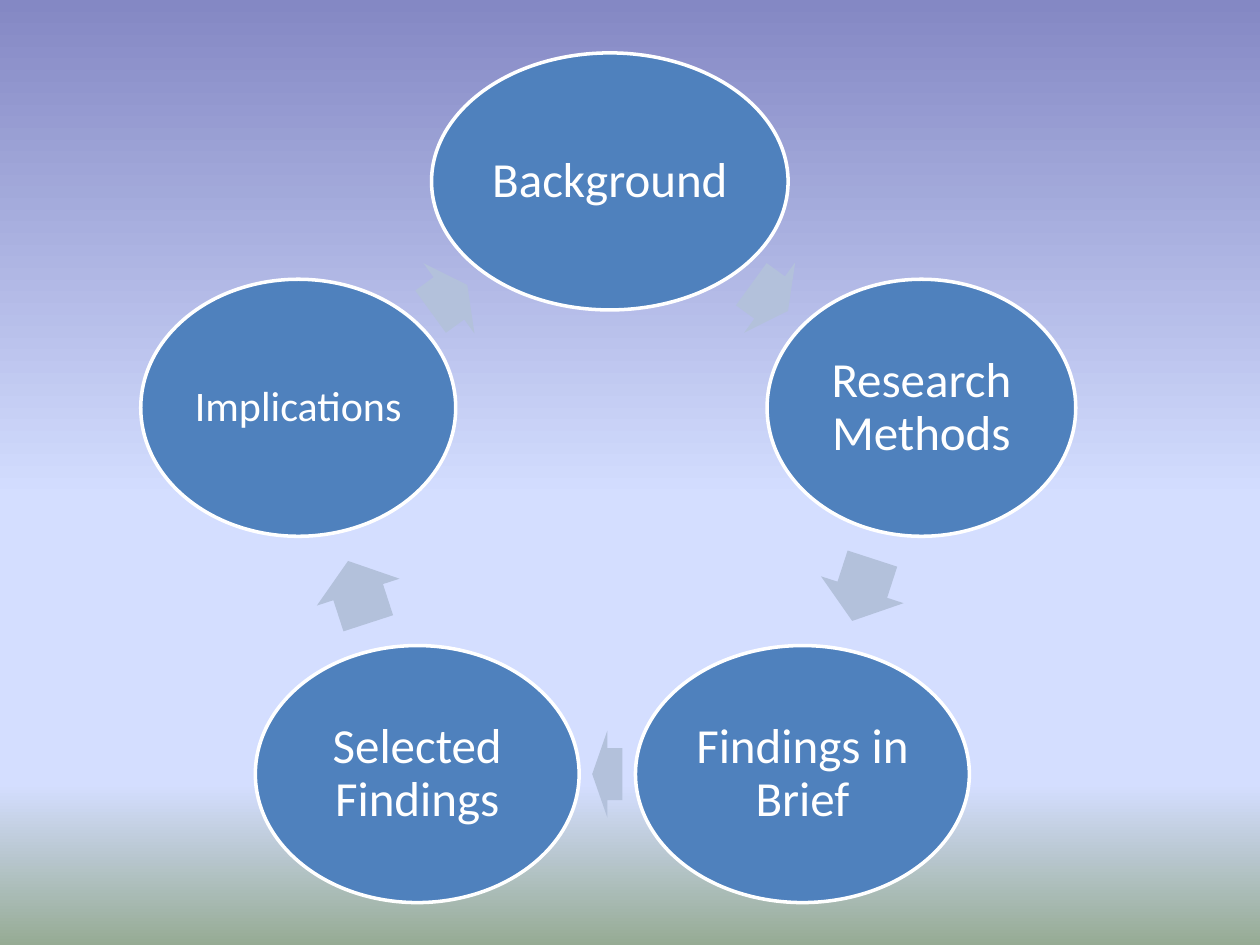
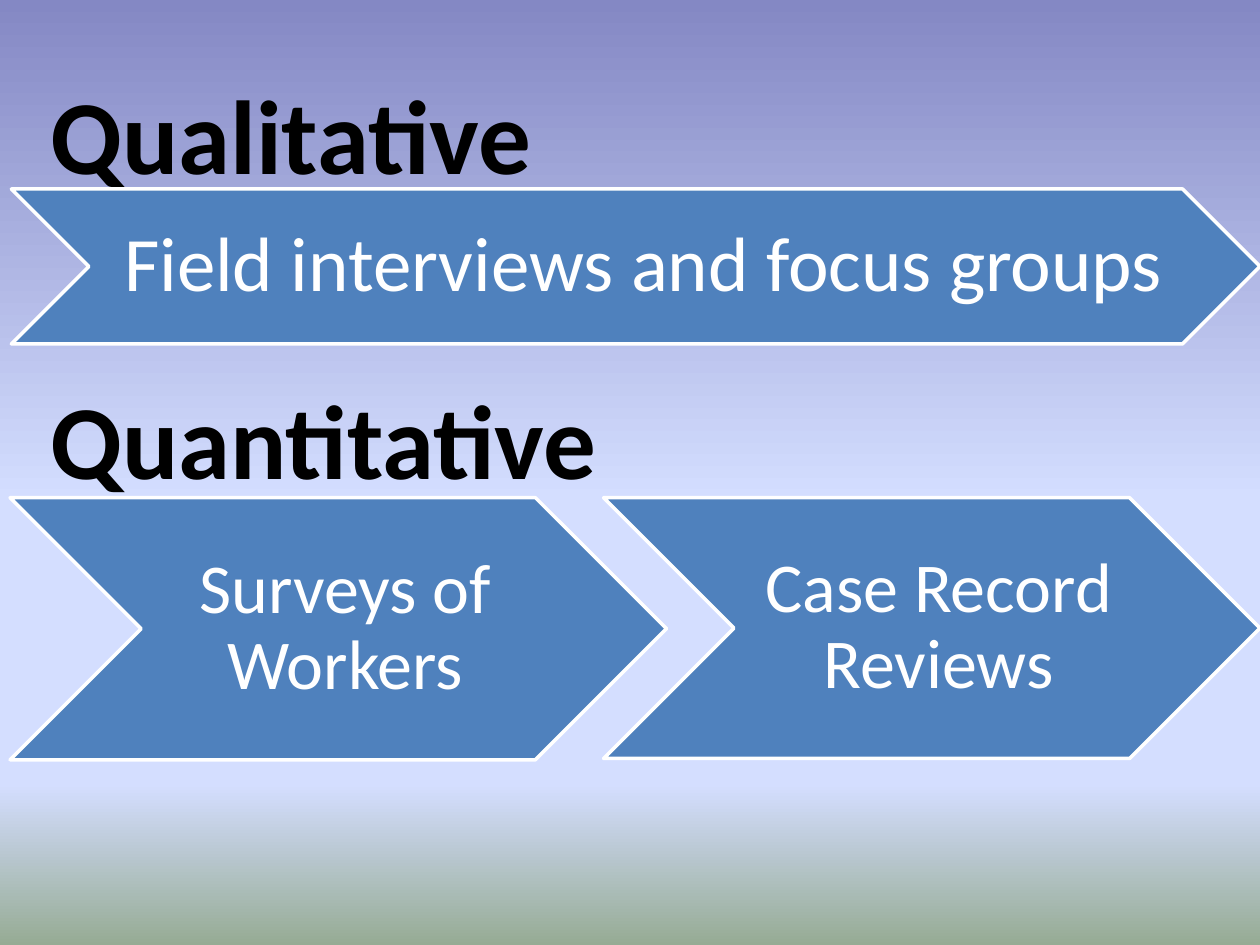
from dataclasses import dataclass
from math import cos, radians, sin

from lxml.etree import SubElement
from pptx import Presentation
from pptx.dml.color import RGBColor
from pptx.enum.shapes import MSO_SHAPE
from pptx.enum.text import MSO_ANCHOR, PP_ALIGN
from pptx.oxml.ns import qn
from pptx.presentation import Presentation as Deck
from pptx.shapes.autoshape import Shape
from pptx.slide import Slide
from pptx.util import Inches, Pt

FONT = "Calibri"
COLORS = {
    "node": "4F81BD",
    "arrow": "B3C1DB",
    "white": "FFFFFF",
    "heading": "000000",
}
SKY = {0: "8488C4", 53: "D4DEFF", 83: "D4DEFF", 100: "96AB94"}

TITLE_ONLY, BLANK = 5, 6
CYCLE_X, CYCLE_Y, CYCLE_RADIUS = 4.84, 4.04, 2.6
STAGE_HEIGHT, ARROW_BREADTH = 2.04, 0.69


@dataclass(frozen=True)
class Stage:
    text: str
    width: float
    arrow_length: float
    arrow_shift: float
    size: int = 28
    inset: float = 0.04


@dataclass(frozen=True)
class Method:
    text: str
    left: float
    top: float
    width: float
    height: float
    size: int
    left_inset: float


@dataclass(frozen=True)
class Heading:
    text: str
    top: float
    width: float


STAGES = [
    Stage("Background", 2.83, 0.36, 0.04),
    Stage("Research Methods", 2.45, 0.52, -0.01),
    Stage("Findings in Brief", 2.65, 0.24, 0.02),
    Stage("Selected Findings", 2.57, 0.52, -0.01),
    Stage("Implications", 2.5, 0.36, -0.05, size=24, inset=0.03),
]
METHODS = [
    Method("Field interviews and focus groups", 0.09, 1.5, 9.91, 1.23, 44, 0.19),
    Method("Surveys of Workers", 0.08, 3.95, 5.21, 2.08, 40, 0.17),
    Method("Case Record Reviews", 4.79, 3.95, 5.21, 2.07, 40, 0.17),
]
QUALITATIVE = Heading("Qualitative", 0.5, 6.75)
QUANTITATIVE = Heading("Quantitative", 2.92, 5.33)


def rgb(name: str) -> RGBColor:
    return RGBColor.from_string(COLORS[name])


def paint_sky(deck: Deck) -> None:
    master = deck.slide_master
    fill = master.background.fill
    fill.gradient()
    fill.gradient_angle = 270
    stops = master.element.xpath("./p:cSld/p:bg//a:gsLst")[0]
    for stop in list(stops):
        stops.remove(stop)
    for percent, color in SKY.items():
        stop = SubElement(stops, qn("a:gs"), pos=str(percent * 1000))
        SubElement(stop, qn("a:srgbClr"), val=color)


def add_filled(slide: Slide, preset: MSO_SHAPE, left: float, top: float,
               width: float, height: float, color: str) -> Shape:
    shape = slide.shapes.add_shape(
        preset, Inches(left), Inches(top), Inches(width), Inches(height))
    shape.shadow.inherit = False
    shape.fill.solid()
    shape.fill.fore_color.rgb = rgb(color)
    shape.line.fill.background()
    return shape


def write_label(shape: Shape, text: str, size: int, inset: float,
                left_inset: float) -> None:
    shape.line.color.rgb = rgb("white")
    shape.line.width = Pt(2)
    frame = shape.text_frame
    frame.word_wrap = True
    frame.vertical_anchor = MSO_ANCHOR.MIDDLE
    frame.margin_top = frame.margin_right = frame.margin_bottom = Inches(inset)
    frame.margin_left = Inches(left_inset)
    frame.text = text
    label = frame.paragraphs[0]
    label.alignment = PP_ALIGN.CENTER
    label.line_spacing = 0.9
    label.font.name = FONT
    label.font.size = Pt(size)
    label.font.color.rgb = rgb("white")


def write_heading(shape: Shape, heading: Heading) -> None:
    shape.left, shape.top = Inches(0.3), Inches(heading.top)
    shape.width, shape.height = Inches(heading.width), Inches(1.11)
    frame = shape.text_frame
    frame.word_wrap = True
    frame.vertical_anchor = MSO_ANCHOR.TOP
    frame.text = heading.text
    line = frame.paragraphs[0]
    line.alignment = PP_ALIGN.LEFT
    line.font.name = FONT
    line.font.size = Pt(60)
    line.font.bold = True
    line.font.color.rgb = rgb("heading")


def add_stage(slide: Slide, stage: Stage, angle: float) -> None:
    x = CYCLE_X + CYCLE_RADIUS * sin(radians(angle))
    y = CYCLE_Y - CYCLE_RADIUS * cos(radians(angle))
    oval = add_filled(slide, MSO_SHAPE.OVAL, x - stage.width / 2,
                      y - STAGE_HEIGHT / 2, stage.width, STAGE_HEIGHT, "node")
    write_label(oval, stage.text, stage.size, stage.inset, stage.inset)


def add_cycle_arrow(slide: Slide, stage: Stage, angle: float, step: float) -> None:
    heading = radians(angle)
    chord_radius = CYCLE_RADIUS * cos(radians(step / 2))
    x = CYCLE_X + chord_radius * sin(heading) + stage.arrow_shift * cos(heading)
    y = CYCLE_Y - chord_radius * cos(heading) + stage.arrow_shift * sin(heading)
    arrow = add_filled(slide, MSO_SHAPE.RIGHT_ARROW, x - stage.arrow_length / 2,
                       y - ARROW_BREADTH / 2, stage.arrow_length, ARROW_BREADTH,
                       "arrow")
    arrow.adjustments[0] = 0.6
    arrow.adjustments[1] = 0.5
    arrow.rotation = angle


def build_outline(deck: Deck) -> None:
    slide = deck.slides.add_slide(deck.slide_layouts[BLANK])
    step = 360 / len(STAGES)
    for index, stage in enumerate(STAGES):
        add_stage(slide, stage, index * step)
        add_cycle_arrow(slide, stage, (index + 0.5) * step, step)


def build_methods(deck: Deck) -> None:
    slide = deck.slides.add_slide(deck.slide_layouts[TITLE_ONLY])
    write_heading(slide.shapes.title, QUALITATIVE)
    for method in METHODS:
        chevron = add_filled(slide, MSO_SHAPE.CHEVRON, method.left, method.top,
                             method.width, method.height, "node")
        write_label(chevron, method.text, method.size, 0.06, method.left_inset)
    write_heading(slide.shapes.add_textbox(0, 0, 0, 0), QUANTITATIVE)


def main() -> None:
    deck = Presentation()
    deck.slide_width, deck.slide_height = Inches(10), Inches(7.5)
    paint_sky(deck)
    build_outline(deck)
    build_methods(deck)
    deck.save("out.pptx")


if __name__ == "__main__":
    main()
